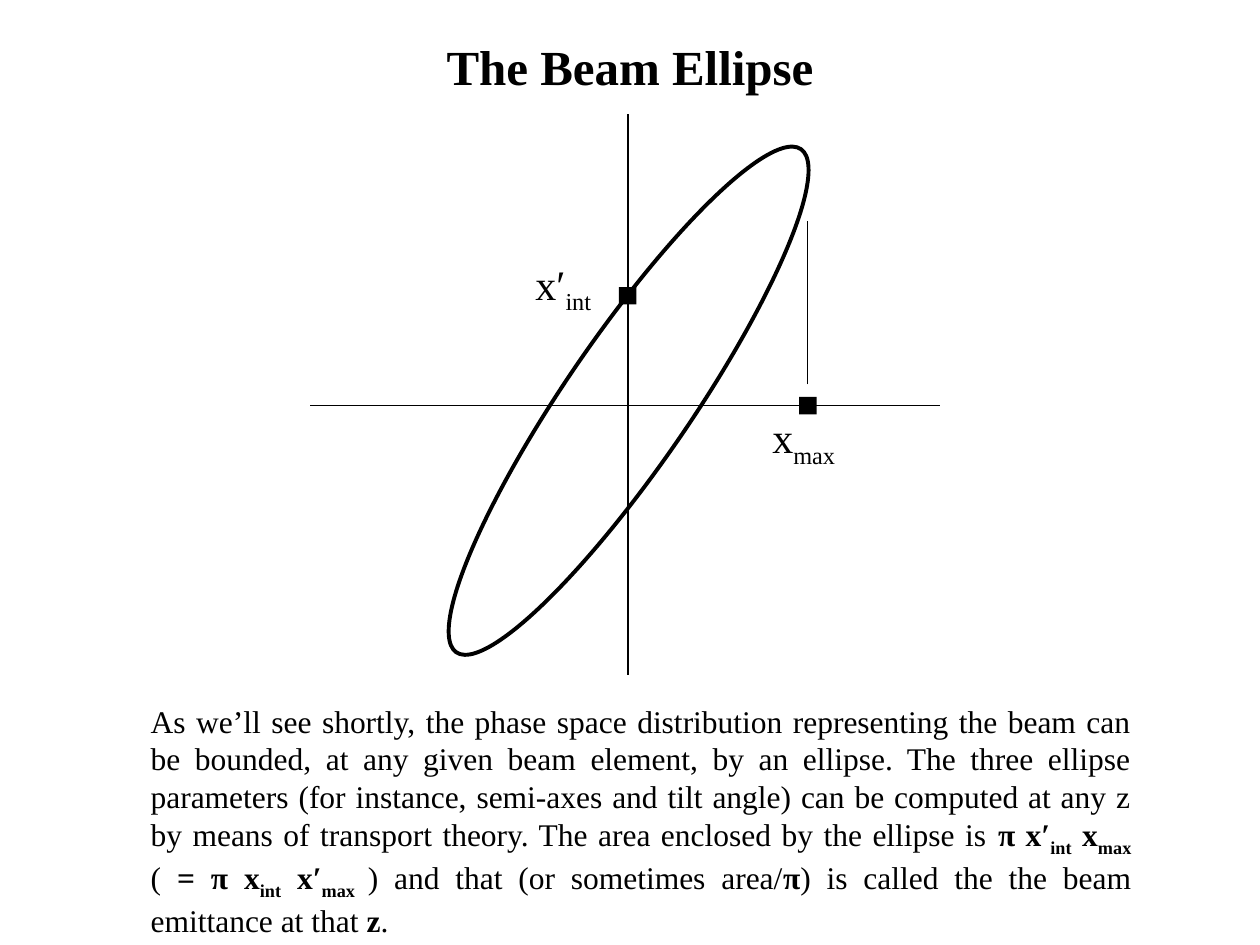
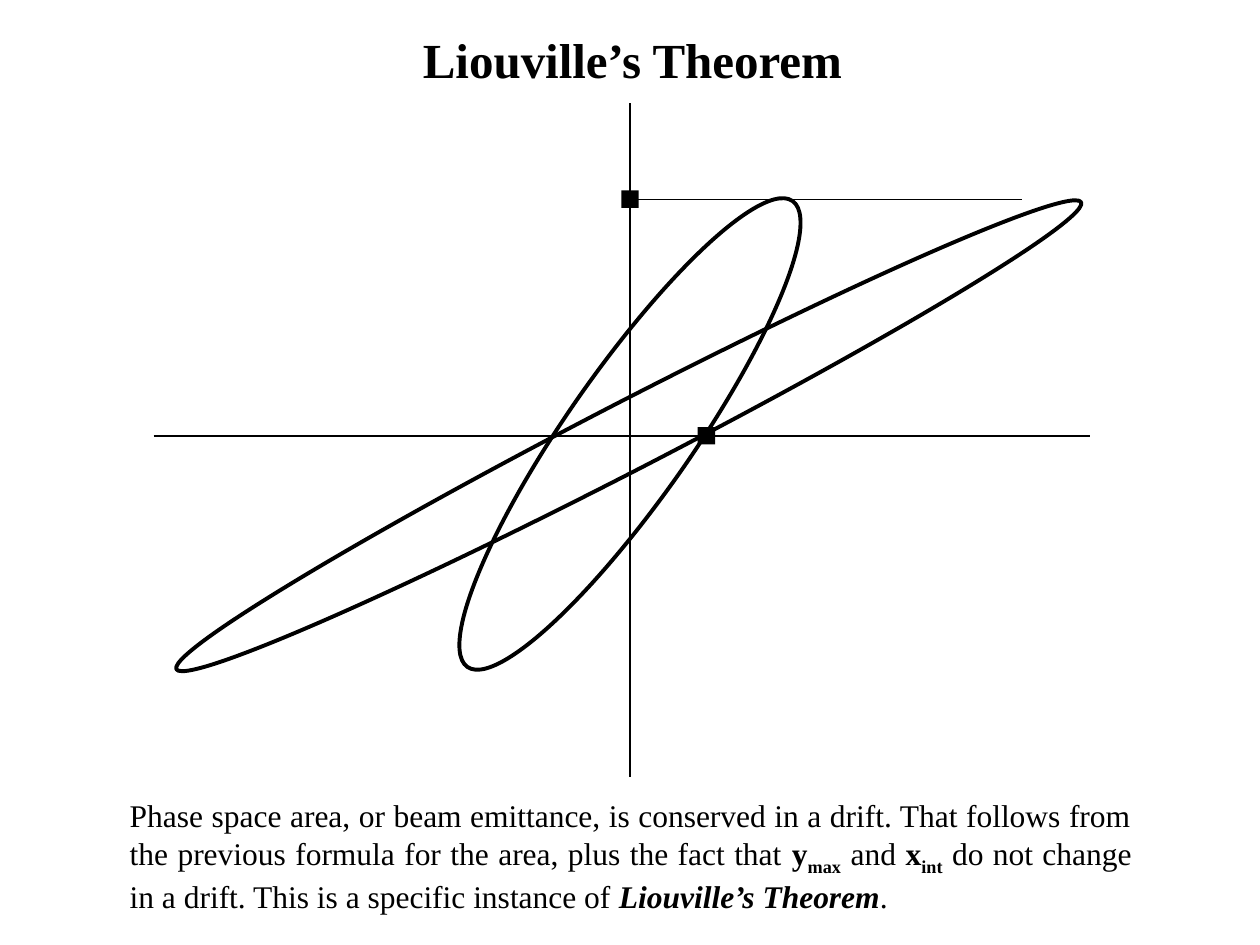
"""Build two slides on the beam ellipse and Liouville's theorem."""
from pptx import Presentation
from pptx.dml.color import RGBColor
from pptx.enum.shapes import MSO_CONNECTOR, MSO_SHAPE
from pptx.enum.text import MSO_ANCHOR, MSO_AUTO_SIZE, PP_ALIGN
from pptx.oxml.ns import qn
from pptx.util import Pt

BLACK = RGBColor(0, 0, 0)
FONT = "Times New Roman"
STRAIGHT = MSO_CONNECTOR.STRAIGHT
OVAL, RECTANGLE = MSO_SHAPE.OVAL, MSO_SHAPE.RECTANGLE
CENTER, JUSTIFY, LEFT = PP_ALIGN.CENTER, PP_ALIGN.JUSTIFY, PP_ALIGN.LEFT
MIDDLE = MSO_ANCHOR.MIDDLE
FIXED, GROW = MSO_AUTO_SIZE.NONE, MSO_AUTO_SIZE.SHAPE_TO_FIT_TEXT

MARKER_SIZE = 10
AXIS_WIDTH, GUIDE_WIDTH, ELLIPSE_WIDTH = 1, 0.5, 2.25
PLAIN, BOLD, SUB, BOLD_SUB, BOLD_ITALIC = "", "b", "s", "bs", "bi"

ELLIPSE_TEXT = [
    ("As we’ll see shortly, the phase space distribution representing the beam "
     "can be bounded, at any given beam element, by an ellipse. The three ellipse "
     "parameters (for instance, semi-axes and tilt angle) can be computed at any z "
     "by means of transport theory. The area enclosed by the ellipse is ", PLAIN),
    ("π x′", BOLD), ("int", BOLD_SUB), (" x", BOLD), ("max", BOLD_SUB),
    (" ( ", PLAIN), ("= π x", BOLD), ("int", BOLD_SUB), (" x′", BOLD),
    ("max ", BOLD_SUB), (") and that (or sometimes area/", PLAIN), ("π", BOLD),
    (") is called the the beam emittance at that ", PLAIN), ("z", BOLD), (".", PLAIN),
]
THEOREM_TEXT = [
    ("Phase space area, or beam emittance, is conserved in a drift. That follows "
     "from the previous formula for the area, plus the fact that ", PLAIN),
    ("y", BOLD), ("max", BOLD_SUB), (" and ", PLAIN), ("x", BOLD), ("int", BOLD_SUB),
    (" do not change in a drift. This is a specific instance of ", PLAIN),
    ("Liouville’s Theorem", BOLD_ITALIC), (".", PLAIN),
]


def place(shape, left, top, width, height):
    """Move and size a shape, in points."""
    shape.left, shape.top = Pt(left), Pt(top)
    shape.width, shape.height = Pt(width), Pt(height)


def style_paragraph(paragraph, size, alignment):
    """Apply the shared font and an alignment to a paragraph."""
    paragraph.alignment = alignment
    paragraph.font.name = FONT
    paragraph.font.size = Pt(size)
    paragraph.font.color.rgb = BLACK


def add_titled_slide(presentation, title, left, top):
    """Add a title-only slide with its title placed and formatted."""
    slide = presentation.slides.add_slide(presentation.slide_layouts[5])
    place(slide.shapes.title, left, top, 648, 39.6)
    frame = slide.shapes.title.text_frame
    frame.text = title
    frame.auto_size = FIXED
    frame.vertical_anchor = MIDDLE
    style_paragraph(frame.paragraphs[0], 28, CENTER)
    frame.paragraphs[0].font.bold = True
    return slide


def add_text(slide, box, pieces, size, alignment=LEFT, wrap=False):
    """Add a text box from pieces of text with style letters."""
    frame = slide.shapes.add_textbox(*map(Pt, box)).text_frame
    frame.word_wrap = wrap
    frame.auto_size = GROW
    paragraph = frame.paragraphs[0]
    style_paragraph(paragraph, size, alignment)
    for text, style in pieces:
        run = paragraph.add_run()
        run.text = text
        if "b" in style:
            run.font.bold = True
        if "i" in style:
            run.font.italic = True
        if "s" in style:
            run._r.get_or_add_rPr().set("baseline", "-25000")


def add_line(slide, start, end, width):
    """Add a straight black line between two points."""
    connector = slide.shapes.add_connector(STRAIGHT, *map(Pt, (*start, *end)))
    connector.line.color.rgb = BLACK
    connector.line.width = Pt(width)
    properties = connector._element.spPr
    properties.append(properties.makeelement(qn("a:effectLst"), {}))


def add_axes(slide, origin, horizontal, vertical):
    """Draw both axes through the origin over the given spans."""
    x, y = origin
    add_line(slide, (x, vertical[0]), (x, vertical[1]), AXIS_WIDTH)
    add_line(slide, (horizontal[0], y), (horizontal[1], y), AXIS_WIDTH)


def add_centered(slide, kind, center, width, height):
    """Add a shadowless shape around its center."""
    left, top = center[0] - width / 2, center[1] - height / 2
    shape = slide.shapes.add_shape(kind, *map(Pt, (left, top, width, height)))
    shape.shadow.inherit = False
    return shape


def add_ellipse(slide, center, width, height, tilt):
    """Draw a tilted, unfilled beam ellipse."""
    ellipse = add_centered(slide, OVAL, center, width, height)
    ellipse.rotation = tilt
    ellipse.fill.background()
    ellipse.line.color.rgb = BLACK
    ellipse.line.width = Pt(ELLIPSE_WIDTH)


def add_markers(slide, *centers):
    """Draw a small black square at each center."""
    for center in centers:
        marker = add_centered(slide, RECTANGLE, center, MARKER_SIZE, MARKER_SIZE)
        marker.fill.solid()
        marker.fill.fore_color.rgb = BLACK
        marker.line.fill.background()


def build_beam_ellipse(presentation):
    """Build the slide that defines the beam ellipse."""
    slide = add_titled_slide(presentation, "The Beam Ellipse", 36, 18)
    origin, x_max = (358.7, 231.8), 461.6
    add_axes(slide, origin, (177.2, 537.2), (65.4, 386))
    add_ellipse(slide, (359.2, 229), 72, 348.5, 34.4)
    add_line(slide, (x_max, 219.6), (x_max, 126), GUIDE_WIDTH)
    add_text(slide, (79, 397.4, 574.6, 164), ELLIPSE_TEXT, 18, JUSTIFY, True)
    add_text(slide, (298.8, 144, 51.1, 40.3), [("x′", PLAIN), ("int", SUB)], 24)
    add_text(slide, (434.2, 231.8, 56.9, 40.3), [("x", PLAIN), ("max", SUB)], 24)
    add_markers(slide, (origin[0], 169), (x_max, origin[1]))


def build_liouville(presentation):
    """Build the slide on conservation of phase space area."""
    slide = add_titled_slide(presentation, "Liouville’s Theorem", 37.4, 13.7)
    origin, y_max = (360, 249), 113.8
    add_axes(slide, origin, (87.8, 622.8), (59, 444.2))
    add_ellipse(slide, (360, 248), 72, 324.7, 34.9)
    add_ellipse(slide, (359.3, 249), 38.9, 581.8, 62.7)
    add_line(slide, (origin[0], y_max), (584, y_max), GUIDE_WIDTH)
    add_text(slide, (67, 451.4, 586.8, 96.5), THEOREM_TEXT, 18, JUSTIFY, True)
    add_markers(slide, (origin[0], y_max), (403.7, origin[1]))


def main():
    """Build and save the presentation."""
    presentation = Presentation()
    presentation.slide_width, presentation.slide_height = Pt(720), Pt(540)
    build_beam_ellipse(presentation)
    build_liouville(presentation)
    presentation.save("out.pptx")


if __name__ == "__main__":
    main()
